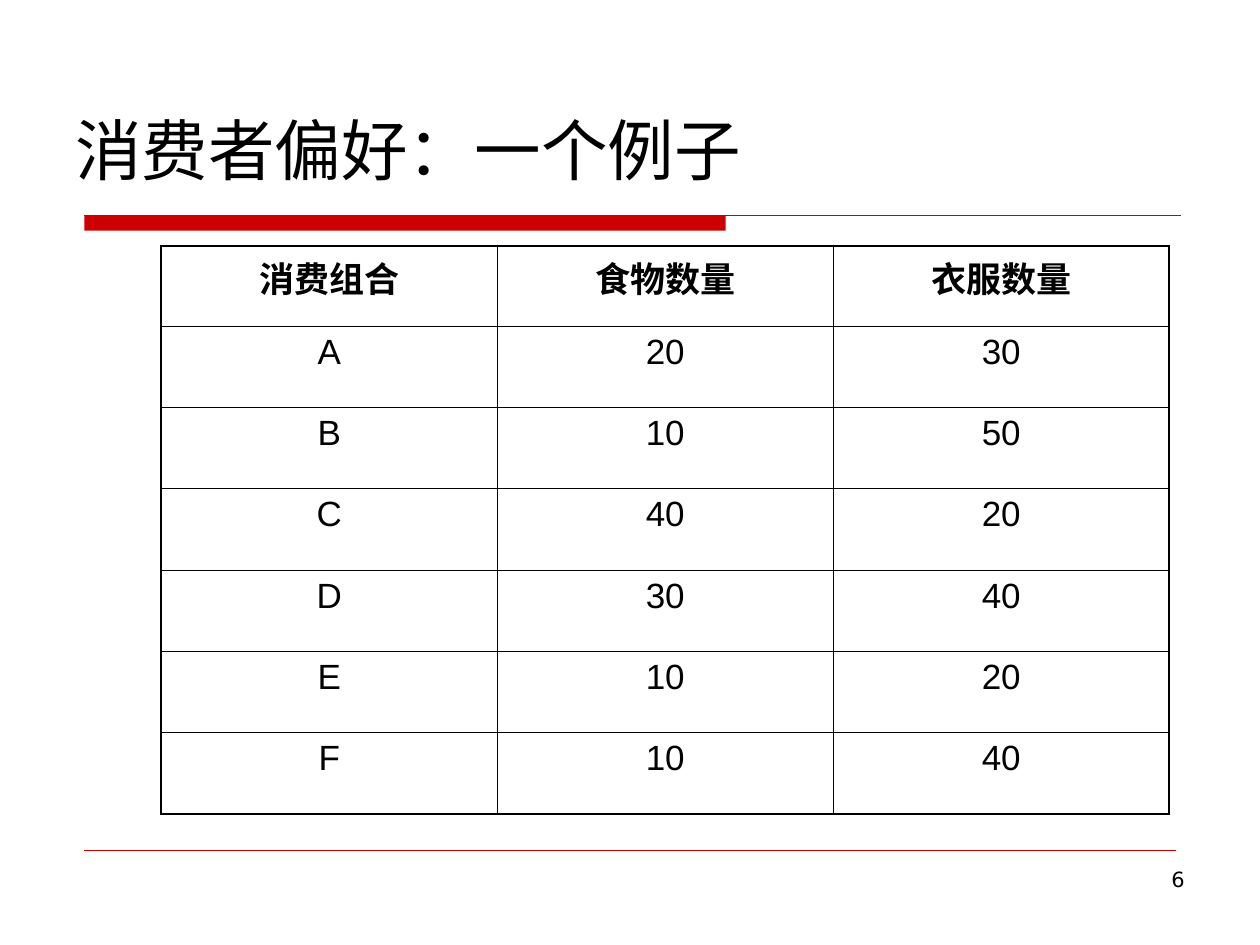
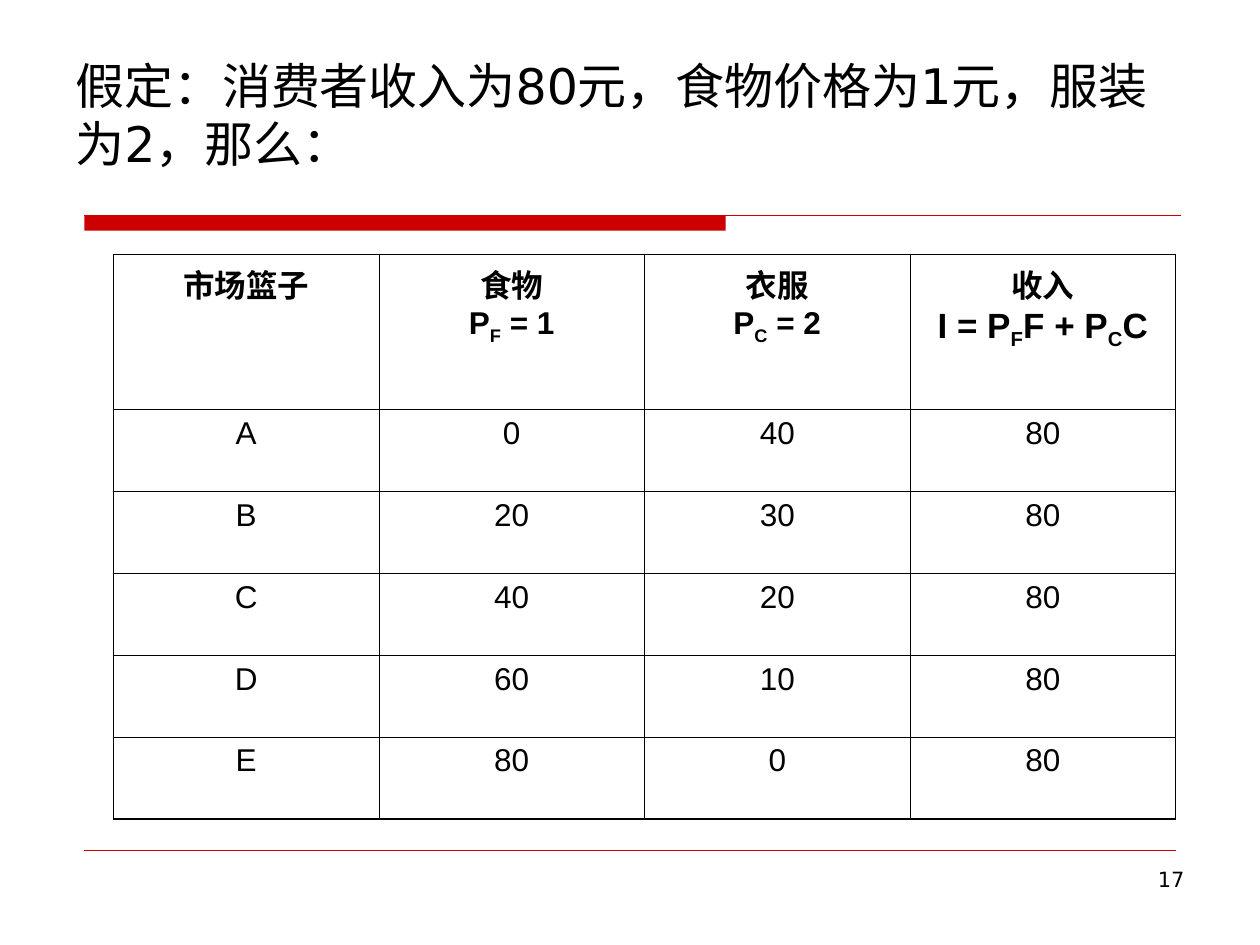
from lxml import etree
from pptx import Presentation
from pptx.dml.color import RGBColor
from pptx.enum.shapes import MSO_CONNECTOR, MSO_SHAPE
from pptx.enum.text import MSO_ANCHOR, PP_ALIGN
from pptx.oxml.ns import qn
from pptx.util import Inches, Pt

STRAIGHT, RECTANGLE = MSO_CONNECTOR.STRAIGHT, MSO_SHAPE.RECTANGLE
TOP, BOTTOM = MSO_ANCHOR.TOP, MSO_ANCHOR.BOTTOM
LEFT, CENTER, RIGHT = PP_ALIGN.LEFT, PP_ALIGN.CENTER, PP_ALIGN.RIGHT
RED, BLACK = "CC0000", "000000"
TITLE_FONT, TABLE_FONT = "DejaVu Sans", "Arial"
OUTER, INNER = 1.08, 0.45

PREFERENCES = [
    ["消费组合", "食物数量", "衣服数量"],
    ["A", "20", "30"],
    ["B", "10", "50"],
    ["C", "40", "20"],
    ["D", "30", "40"],
    ["E", "10", "20"],
    ["F", "10", "40"],
]
BUDGET = [
    ["市场篮子", "食物\nP_F_ = 1", "衣服\nP_C_ = 2", "收入\nI = P_F_F + P_C_C"],
    ["A", "0", "40", "80"],
    ["B", "20", "30", "80"],
    ["C", "40", "20", "80"],
    ["D", "60", "10", "80"],
    ["E", "80", "0", "80"],
]


def rgb(color):
    """Turn a hex string into a colour."""
    return RGBColor.from_string(color)


def style_paragraph(p, size, font, align, bold=False):
    """Set the alignment and font of a paragraph."""
    p.alignment = align
    p.font.size = Pt(size)
    p.font.name = font
    p.font.bold = bold
    p.font.color.rgb = rgb(BLACK)


def add_text(s, text, left, top, width, height, size, align=LEFT, anchor=TOP):
    """Add a one-paragraph text box."""
    box = s.shapes.add_textbox(Inches(left), Inches(top), Inches(width), Inches(height))
    tf = box.text_frame
    tf.word_wrap = True
    tf.vertical_anchor = anchor
    p = tf.paragraphs[0]
    p.add_run().text = text
    style_paragraph(p, size, TITLE_FONT, align)


def add_rule(s, left, right, y, width):
    """Add a thin horizontal red line."""
    line = s.shapes.add_connector(
        STRAIGHT, Inches(left), Inches(y), Inches(right), Inches(y))
    line.line.color.rgb = rgb(RED)
    line.line.width = Pt(width)
    etree.SubElement(line._element.spPr, qn("a:effectLst"))


def add_frame(s, number):
    """Add the title band, the footer line and the slide number."""
    band = s.shapes.add_shape(
        RECTANGLE, Inches(0.67), Inches(1.71), Inches(5.09), Inches(0.12))
    band.shadow.inherit = False
    band.fill.solid()
    band.fill.fore_color.rgb = rgb(RED)
    band.line.fill.background()
    add_rule(s, 0.67, 9.37, 1.71, 0.75)
    add_rule(s, 0.67, 9.33, 6.75, 0.25)
    add_text(s, str(number), 7.17, 6.83, 2.33, 0.5, 12, RIGHT)


def set_borders(cell, widths):
    """Draw the left, right, top and bottom borders of a cell."""
    tcPr = cell._tc.get_or_add_tcPr()
    for side, width in zip("LRTB", widths):
        ln = etree.SubElement(tcPr, qn(f"a:ln{side}"), w=str(Pt(width)))
        fill = etree.SubElement(ln, qn("a:solidFill"))
        etree.SubElement(fill, qn("a:srgbClr"), val=BLACK)


def fill_cell(cell, text, size, bold):
    """Write centred lines, with subscripts between underscores."""
    tf = cell.text_frame
    for i, line in enumerate(text.split("\n")):
        p = tf.add_paragraph() if i else tf.paragraphs[0]
        style_paragraph(p, size, TABLE_FONT, CENTER, bold)
        for j, part in enumerate(line.split("_")):
            r = p.add_run()
            r.text = part
            if j % 2:
                r._r.get_or_add_rPr().set("baseline", "-25000")


def add_grid(s, rows, left, top, width, header_height, row_height, size):
    """Add a table with a bold header, thick frame and thin inner lines."""
    last_row, last_col = len(rows) - 1, len(rows[0]) - 1
    height = header_height + last_row * row_height
    table = s.shapes.add_table(
        len(rows), len(rows[0]), Inches(left), Inches(top),
        Inches(width), Inches(height)).table
    table.first_row = table.horz_banding = False
    for i, row in enumerate(rows):
        table.rows[i].height = Inches(row_height if i else header_height)
        for j, text in enumerate(row):
            cell = table.cell(i, j)
            edges = (j == 0, j == last_col, i == 0, i == last_row)
            set_borders(cell, [OUTER if edge else INNER for edge in edges])
            cell.fill.background()
            fill_cell(cell, text, size, bold=i == 0)
    return table


def main():
    """Build both slides and save the file."""
    prs = Presentation()
    prs.slide_width, prs.slide_height = Inches(10), Inches(7.5)
    blank = prs.slide_layouts[6]

    s = prs.slides.add_slide(blank)
    add_frame(s, 6)
    add_text(s, "消费者偏好：一个例子", 0.5, 0.3, 9, 1.25, 38, anchor=BOTTOM)
    add_grid(s, PREFERENCES, 1.28, 1.95, 8, 0.64, 0.645, 20)

    s = prs.slides.add_slide(blank)
    add_frame(s, 17)
    add_text(s, "假定：消费者收入为80元，食物价格为1元，服装为2，那么：",
             0.5, 0.42, 9, 1, 28, anchor=BOTTOM)
    table = add_grid(s, BUDGET, 0.9, 2.02, 8.43, 1.23, 0.65, 18)
    income_formula = table.cell(0, 3).text_frame.paragraphs[1]
    income_formula.font.size = Pt(20)

    prs.save("out.pptx")


if __name__ == "__main__":
    main()
